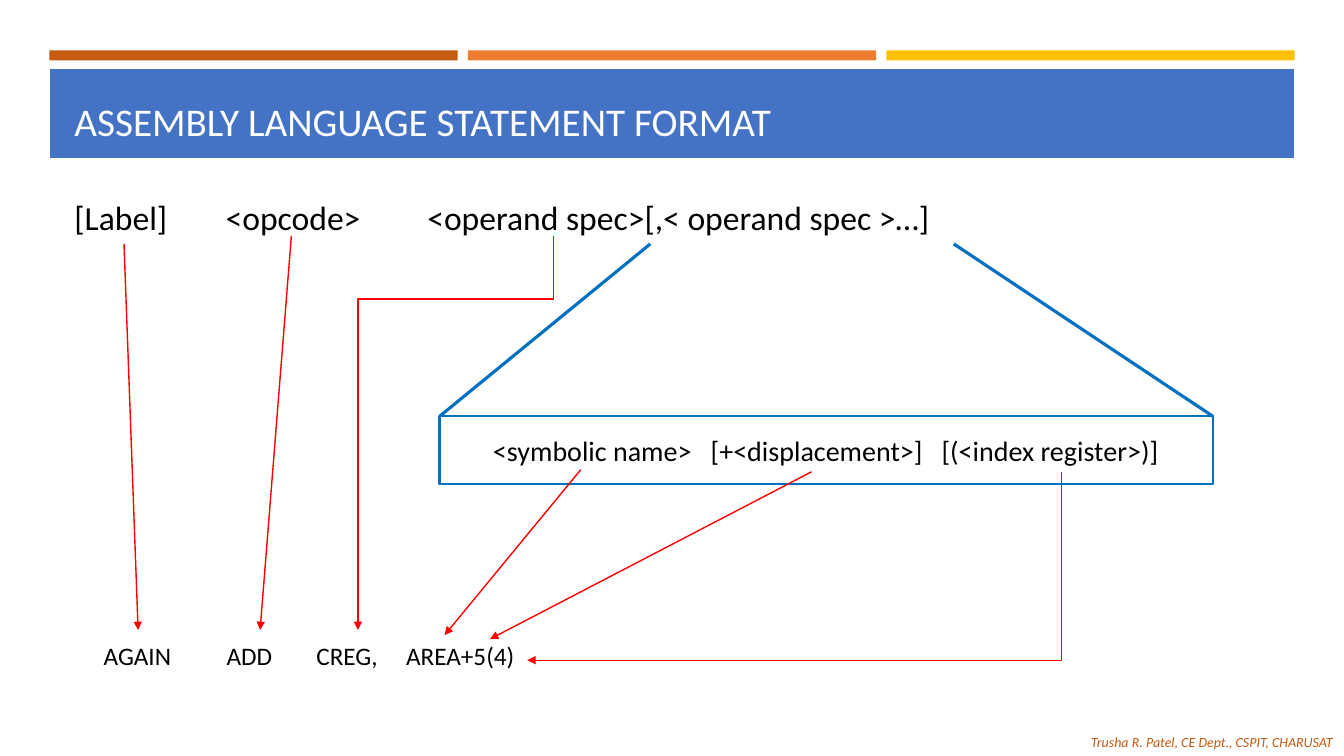
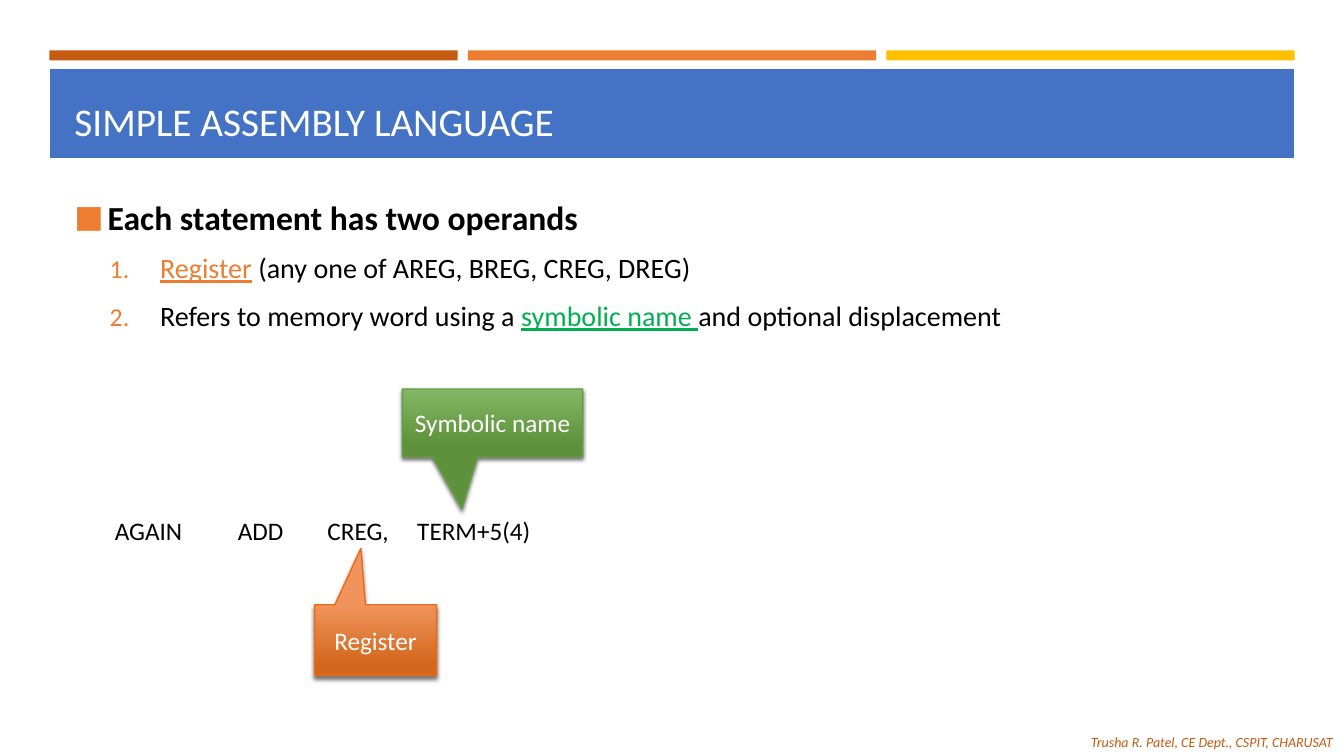
from dataclasses import dataclass
from typing import Optional

import lxml.etree
import pptx
import pptx.dml.color
import pptx.enum.shapes
import pptx.enum.text
import pptx.oxml.ns
import pptx.shapes.autoshape
import pptx.shapes.connector
import pptx.slide
import pptx.text.text
import pptx.util

EMU_PER_PX = 9144  # 100 px to the inch
FONT = "Calibri"
COLORS = {
    "white": "FFFFFF", "black": "000000", "band": "4472C4",
    "rust": "C55A11", "orange": "ED7D31", "gold": "FFC000",
    "blue": "0070C0", "red": "FF0000", "green": "00B050",
    "orange_top": "F0945C", "orange_bottom": "D3671D", "orange_edge": "EB6C17",
    "green_top": "83B763", "green_bottom": "5E913C", "green_edge": "659C40",
}
Shape = pptx.shapes.autoshape.Shape
Slide = pptx.slide.Slide
Paragraph = pptx.text.text._Paragraph
SHAPE = pptx.enum.shapes.MSO_SHAPE
CONNECTOR = pptx.enum.shapes.MSO_CONNECTOR
ANCHOR = pptx.enum.text.MSO_ANCHOR
ALIGN = pptx.enum.text.PP_ALIGN
qn = pptx.oxml.ns.qn


@dataclass(frozen=True)
class Box:
    left: int
    top: int
    width: int
    height: int


@dataclass(frozen=True)
class Arrow:
    """Elbow arrows turn at the given share of the way along their first axis."""
    begin: tuple[int, int]
    end: tuple[int, int]
    turn: Optional[float] = None
    vertical_first: bool = False


@dataclass(frozen=True)
class Callout:
    text: str
    box: Box
    tip: tuple[float, float]
    hue: str


@dataclass(frozen=True)
class Span:
    text: str
    color: str = "black"
    underline: bool = False


TITLE_BOX = Box(64, 77, 1206, 71)
BODY_BOX = Box(64, 190, 1206, 525)
TITLE_BAND = Box(48, 67, 1237, 91)
STRIPE_LEFT, STRIPE_WIDTH, STRIPE_GAP = 49, 405, 10
STATEMENT_TABS = (122, 211, 300)

ARROWS = (
    Arrow((123, 242), (137, 625)),
    Arrow((289, 234), (258, 625)),
    Arrow((576, 466), (441, 630)),
    Arrow((805, 468), (486, 634)),
    Arrow((1053, 468), (523, 655), turn=0),
    Arrow((549, 234), (355, 625), turn=0.16, vertical_first=True),
)
CALLOUTS = (
    Callout("Register", Box(312, 600, 121, 70), (-0.12, -1.3), "orange"),
    Callout("Symbolic name", Box(399, 386, 179, 67), (-0.17, 1.27), "green"),
)
OPERANDS = (
    (Span("Register", "orange", True), Span(" (any one of AREG, BREG, CREG, DREG)")),
    (Span("Refers to memory word using a "), Span("symbolic name ", "green", True),
     Span("and optional displacement")),
)


def px(length: float) -> pptx.util.Emu:
    return pptx.util.Emu(round(length * EMU_PER_PX))


def rgb(name: str) -> pptx.dml.color.RGBColor:
    return pptx.dml.color.RGBColor.from_string(COLORS[name])


def add_element(parent, tag: str, **attributes):
    return lxml.etree.SubElement(parent, qn(tag), attributes)


# Text
def write(paragraph: Paragraph, text: str, *, size: int, color: str = "black",
          bold: bool = False, italic: bool = False, underline: bool = False) -> None:
    run = paragraph.add_run()
    run.text = text
    font = run.font
    font.name, font.size = FONT, pptx.util.Pt(size)
    font.bold, font.italic, font.underline = bold, italic, underline
    font.color.rgb = rgb(color)


def set_tabs(paragraph: Paragraph, stops: tuple[int, ...]) -> None:
    tab_list = add_element(paragraph._p.get_or_add_pPr(), "a:tabLst")
    for stop in stops:
        add_element(tab_list, "a:tab", pos=str(px(stop)), algn="l")


def set_bullet(paragraph: Paragraph, indent: int, hanging: int, character: str = "") -> None:
    """Set a symbol bullet, or a number when no character is given."""
    properties = paragraph._p.get_or_add_pPr()
    properties.set("marL", str(px(indent)))
    properties.set("indent", str(px(-hanging)))
    add_element(add_element(properties, "a:buClr"), "a:srgbClr", val=COLORS["orange"])
    add_element(properties, "a:buSzPct", val="92000")
    add_element(properties, "a:buFont", typeface=FONT)
    if character:
        add_element(properties, "a:buChar", char=character)
    else:
        add_element(properties, "a:buAutoNum", type="arabicPeriod")


def add_text_box(slide: Slide, box: Box, *, wrap: bool = True,
                 anchor=ANCHOR.TOP) -> pptx.text.text.TextFrame:
    shape = slide.shapes.add_textbox(*map(px, (box.left, box.top, box.width, box.height)))
    frame = shape.text_frame
    frame.word_wrap, frame.vertical_anchor = wrap, anchor
    return frame


def add_statement(slide: Slide, left: int, top: int, operand: str) -> None:
    paragraph = add_text_box(slide, Box(left, top, 456, 40), wrap=False).paragraphs[0]
    set_tabs(paragraph, STATEMENT_TABS)
    write(paragraph, f"AGAIN\tADD\tCREG,\t{operand}", size=18)


# Shapes and lines
def add_shape(slide: Slide, box: Box, *, kind=SHAPE.RECTANGLE, fill: str = "white",
              line: str = "", line_width: float = 1) -> Shape:
    shape = slide.shapes.add_shape(kind, *map(px, (box.left, box.top, box.width, box.height)))
    shape.shadow.inherit = False
    shape.fill.solid()
    shape.fill.fore_color.rgb = rgb(fill)
    if line:
        shape.line.color.rgb = rgb(line)
        shape.line.width = pptx.util.Pt(line_width)
    else:
        shape.line.fill.background()
    return shape


def add_line(slide: Slide, begin: tuple[int, int], end: tuple[int, int], *, color: str,
             width: float, kind=CONNECTOR.STRAIGHT) -> pptx.shapes.connector.Connector:
    connector = slide.shapes.add_connector(kind, *map(px, (*begin, *end)))
    connector.line.color.rgb = rgb(color)
    connector.line.width = pptx.util.Pt(width)
    add_element(connector._element.spPr, "a:effectLst")
    return connector


def add_arrow(slide: Slide, arrow: Arrow) -> None:
    begin, end = arrow.begin, arrow.end
    if arrow.vertical_first:  # lay the frame on its side, then turn it a quarter
        center_x, center_y = (begin[0] + end[0]) / 2, (begin[1] + end[1]) / 2
        half_width, half_height = (end[1] - begin[1]) / 2, (begin[0] - end[0]) / 2
        begin = (center_x - half_width, center_y - half_height)
        end = (center_x + half_width, center_y + half_height)
    kind = CONNECTOR.STRAIGHT if arrow.turn is None else CONNECTOR.ELBOW
    connector = add_line(slide, begin, end, color="red", width=1, kind=kind)
    add_element(connector.line._get_or_add_ln(), "a:tailEnd", type="triangle")
    properties = connector._element.spPr
    if arrow.vertical_first:
        properties.find(qn("a:xfrm")).set("rot", "5400000")
    if arrow.turn is not None:
        guides = properties.find(qn("a:prstGeom")).find(qn("a:avLst"))
        add_element(guides, "a:gd", name="adj1", fmla=f"val {round(arrow.turn * 100000)}")


def add_callout(slide: Slide, callout: Callout) -> None:
    shape = add_shape(slide, callout.box, kind=SHAPE.RECTANGULAR_CALLOUT,
                      line=f"{callout.hue}_edge")
    shape.adjustments[0], shape.adjustments[1] = callout.tip
    shape.fill.gradient()
    shape.fill.gradient_angle = 270
    for stop, position, end in zip(shape.fill.gradient_stops, (0, 0.84), ("top", "bottom")):
        stop.position = position
        stop.color.rgb = rgb(f"{callout.hue}_{end}")
    effects = shape._element.spPr.find(qn("a:effectLst"))
    shadow = add_element(effects, "a:outerShdw", blurRad=str(pptx.util.Pt(3)),
                         dist=str(pptx.util.Pt(2)), dir="5400000", rotWithShape="0")
    shadow_color = add_element(shadow, "a:srgbClr", val=COLORS["black"])
    add_element(shadow_color, "a:alpha", val="55000")
    frame = shape.text_frame
    frame.word_wrap, frame.vertical_anchor = True, ANCHOR.MIDDLE
    frame.paragraphs[0].alignment = ALIGN.CENTER
    write(frame.paragraphs[0], callout.text, size=18, color="white")


# Slides
def add_slide(presentation, title: str) -> Slide:
    slide = presentation.slides.add_slide(presentation.slide_layouts[6])
    footer = add_text_box(slide, Box(1072, 723, 261, 27), wrap=False)
    write(footer.paragraphs[0], "Trusha R. Patel, CE Dept., CSPIT, CHARUSAT",
          size=10, color="rust", italic=True)
    add_shape(slide, TITLE_BAND, fill="band", line="white", line_width=2)
    for index, color in enumerate(("rust", "orange", "gold")):
        left = STRIPE_LEFT + index * (STRIPE_WIDTH + STRIPE_GAP)
        add_shape(slide, Box(left, 50, STRIPE_WIDTH, 10), fill=color)
    heading = add_text_box(slide, TITLE_BOX, anchor=ANCHOR.BOTTOM)
    write(heading.paragraphs[0], title, size=28, color="white")
    return slide


def build_format_slide(presentation) -> None:
    slide = add_slide(presentation, "ASSEMBLY LANGUAGE STATEMENT FORMAT")
    syntax = add_text_box(slide, BODY_BOX).paragraphs[0]
    set_tabs(syntax, (150, 350))
    write(syntax, "[Label]\t<opcode>\t<operand spec>[,< operand spec >…]", size=24)

    # Operand detail
    detail = Box(436, 413, 767, 67)
    frame = add_shape(slide, detail, line="blue", line_width=1.75).text_frame
    frame.word_wrap, frame.vertical_anchor = True, ANCHOR.MIDDLE
    frame.margin_left = px(53)
    parts = frame.paragraphs[0]
    parts.alignment = ALIGN.LEFT
    set_tabs(parts, (216, 445))
    write(parts, "<symbolic name>\t[+<displacement>]\t[(<index register>)]", size=20)
    for start, corner in ((645, detail.left), (946, detail.left + detail.width)):
        add_line(slide, (start, 242), (corner, detail.top), color="blue", width=2.25)

    # Sample statement
    add_statement(slide, 93, 630, "AREA+5(4)")
    for arrow in ARROWS:
        add_arrow(slide, arrow)


def build_operands_slide(presentation) -> None:
    slide = add_slide(presentation, "SIMPLE ASSEMBLY LANGUAGE")
    frame = add_text_box(slide, BODY_BOX)
    lead = frame.paragraphs[0]
    lead.space_after = pptx.util.Pt(6)
    set_bullet(lead, 33, 33, "■")
    write(lead, "Each statement has two operands", size=24, bold=True)
    for spans in OPERANDS:
        paragraph = frame.add_paragraph()
        paragraph.level = 1
        paragraph.space_before, paragraph.space_after = pptx.util.Pt(4), pptx.util.Pt(6)
        set_bullet(paragraph, 85, 50)
        for span in spans:
            write(paragraph, span.text, size=20, color=span.color, underline=span.underline)

    # Sample statement
    add_statement(slide, 104, 506, "TERM+5(4)")
    for callout in CALLOUTS:
        add_callout(slide, callout)


def main() -> None:
    presentation = pptx.Presentation()
    presentation.slide_width, presentation.slide_height = px(1333), px(750)
    build_format_slide(presentation)
    build_operands_slide(presentation)
    presentation.save("out.pptx")


if __name__ == "__main__":
    main()
